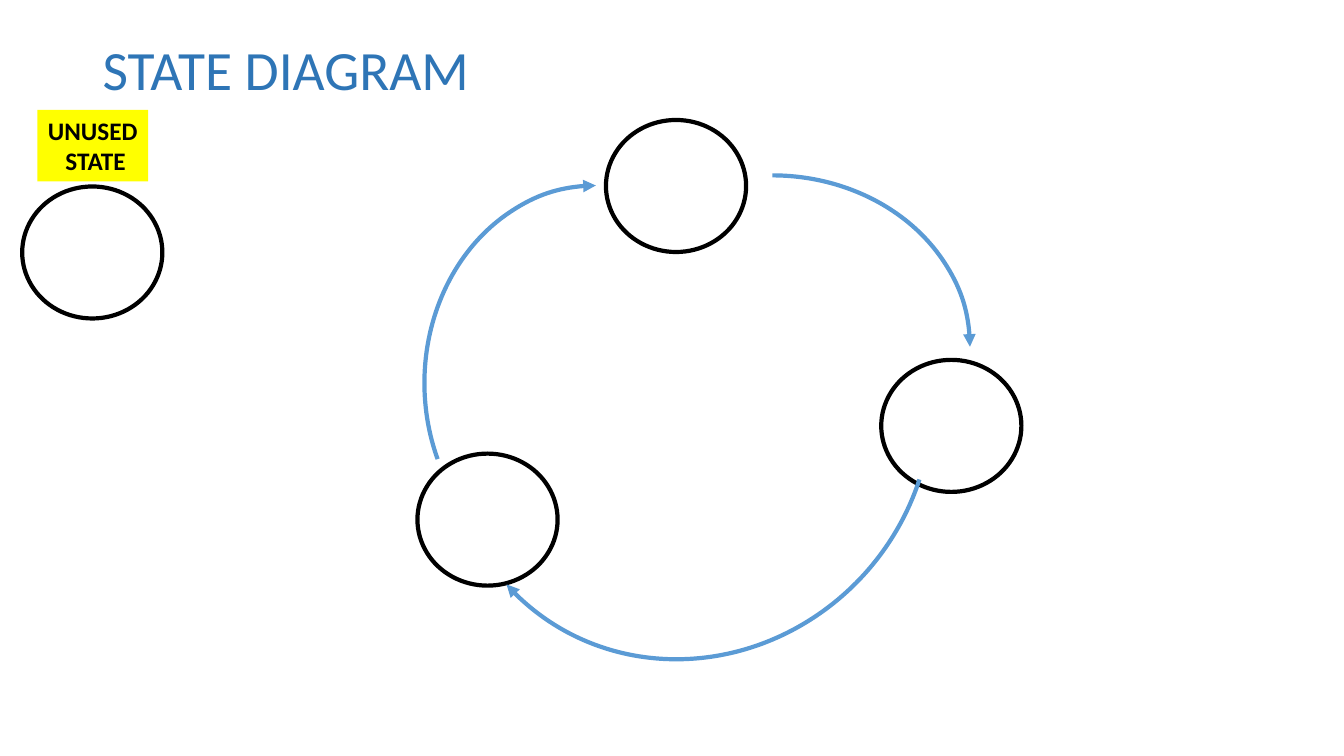
"""Build the state diagram slide with three linked states and one unused state."""
from pptx import Presentation
from pptx.dml.color import RGBColor
from pptx.enum.shapes import MSO_SHAPE
from pptx.enum.text import MSO_ANCHOR, MSO_AUTO_SIZE, PP_ALIGN
from pptx.oxml.ns import qn
from pptx.util import Inches, Pt
from lxml import etree

OVAL, ARC, RECTANGLE = MSO_SHAPE.OVAL, MSO_SHAPE.ARC, MSO_SHAPE.RECTANGLE
TOP, MIDDLE = MSO_ANCHOR.TOP, MSO_ANCHOR.MIDDLE
LEFT, CENTER = PP_ALIGN.LEFT, PP_ALIGN.CENTER
FIT_SHAPE = MSO_AUTO_SIZE.SHAPE_TO_FIT_TEXT
BLACK = RGBColor(0x00, 0x00, 0x00)
YELLOW = RGBColor(0xFF, 0xFF, 0x00)
TITLE_BLUE = RGBColor(0x2E, 0x75, 0xB6)
ARROW_BLUE = RGBColor(0x5B, 0x9B, 0xD5)

TITLE = ["STATE DIAGRAM"]
TITLE_AREA = (0.92, 0.4, 11.5, 1.25)
TITLE_FONT = {"name": "Calibri", "size": Pt(39.6)}
UNUSED_LABEL = ["UNUSED", " STATE"]
LABEL_AREA = (0.37, 1.09, 1.1, 0.71)
LABEL_FONT = {"name": "Calibri", "size": Pt(18), "bold": True}

STATE_SIZE = (1.39, 1.31)
STATES = [(8.74, 3.57), (6.01, 1.19), (0.22, 1.85), (4.14, 4.5)]
TRANSITIONS = [
    {"area": (5.7, 1.74, 3.92, 3.4), "turn": 0, "angles": (270, 0)},
    {"area": (3.95, 2.1, 3.92, 3.4), "turn": 270, "angles": (244.33, 0)},
    {"area": (4.37, 1.79, 4.95, 4.67), "turn": 131.2, "angles": (244.33, 6.23)},
]
ADJUSTMENT_PER_DEGREE = 0.6


def add_outline(page, kind, area, color):
    shape = page.shapes.add_shape(kind, *map(Inches, area))
    shape.shadow.inherit = False
    shape.fill.background()
    shape.line.color.rgb = color
    shape.line.width = Pt(3)
    return shape


def add_transition(page, area, turn, angles):
    arc = add_outline(page, ARC, area, ARROW_BLUE)
    arc.rotation = turn
    for index, angle in enumerate(angles):
        arc.adjustments[index] = angle * ADJUSTMENT_PER_DEGREE
    etree.SubElement(arc.line._get_or_add_ln(), qn("a:tailEnd"), type="triangle")


def write_lines(frame, lines, align, font, color):
    for index, line in enumerate(lines):
        para = frame.add_paragraph() if index else frame.paragraphs[0]
        para.alignment = align
        span = para.add_run()
        span.text = line
        span.font.color.rgb = color
        for name, value in font.items():
            setattr(span.font, name, value)


def add_title(page):
    box = page.shapes.add_textbox(*map(Inches, TITLE_AREA))
    frame = box.text_frame
    frame.word_wrap = True
    frame.vertical_anchor = TOP
    frame.margin_top = Inches(0.02)
    write_lines(frame, TITLE, LEFT, TITLE_FONT, TITLE_BLUE)
    frame.paragraphs[0].line_spacing = 0.9


def add_unused_label(page):
    label = page.shapes.add_shape(RECTANGLE, *map(Inches, LABEL_AREA))
    label.shadow.inherit = False
    label.fill.solid()
    label.fill.fore_color.rgb = YELLOW
    label.line.fill.background()
    frame = label.text_frame
    frame.word_wrap = False
    frame.auto_size = FIT_SHAPE
    frame.vertical_anchor = MIDDLE
    write_lines(frame, UNUSED_LABEL, CENTER, LABEL_FONT, BLACK)


def main():
    deck = Presentation()
    deck.slide_width, deck.slide_height = Inches(13.33), Inches(7.5)
    page = deck.slides.add_slide(deck.slide_layouts[6])
    add_title(page)
    for corner in STATES:
        add_outline(page, OVAL, corner + STATE_SIZE, BLACK)
    for transition in TRANSITIONS:
        add_transition(page, **transition)
    add_unused_label(page)
    deck.save("out.pptx")


if __name__ == "__main__":
    main()
